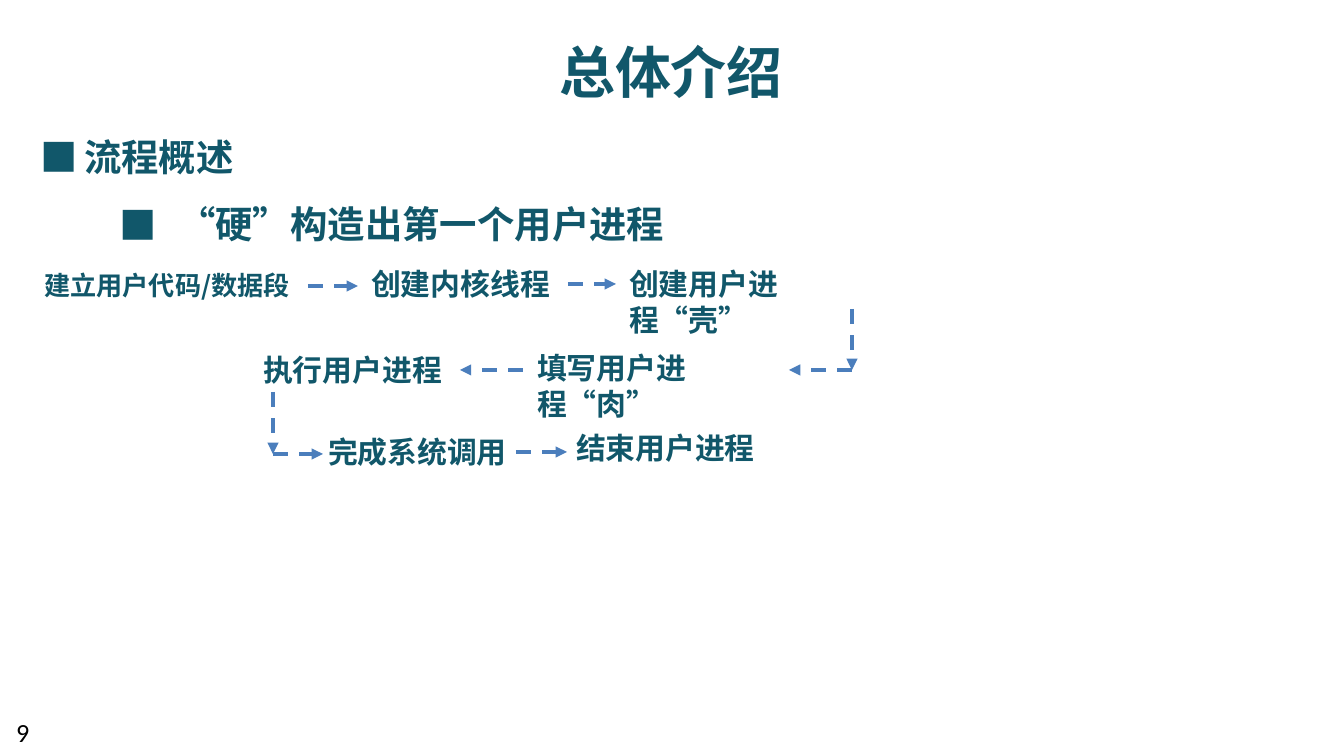
"""Build the overview slide with the flow of the first user process."""
from dataclasses import dataclass

from lxml.etree import SubElement
from pptx import Presentation
from pptx.dml.color import RGBColor
from pptx.enum.dml import MSO_LINE
from pptx.enum.shapes import MSO_CONNECTOR
from pptx.enum.text import PP_ALIGN
from pptx.oxml.ns import qn
from pptx.util import Pt

EMU_PER_PX = 914400 / 134.4
RIGHT, LEFT = 3, 1


@dataclass(frozen=True)
class Theme:
    teal: RGBColor = RGBColor(0x11, 0x57, 0x6A)
    blue: RGBColor = RGBColor(0x4B, 0x7E, 0xBC)
    black: RGBColor = RGBColor(0, 0, 0)
    heading_font: str = "Noto Sans CJK SC"
    marker_font: str = "Noto Sans CJK JP"
    number_font: str = "Calibri"
    title: int = 30
    topic: int = 20
    step: int = 16
    small: int = 14
    arrow: int = 2


THEME = Theme()

TITLE = ("总体介绍", (477, 31, 388, 82))
TOPICS = [
    ("流程概述", (71, 128, 198, 63)),
    ("“硬”构造出第一个用户进程", (165, 195, 539, 59)),
]
MARKERS = [(27, 128), (106, 196)]
MARKER_SIZE = (63, 59)
PAGE_NUMBER = ("9", (3, 710, 65, 40))

FIRST_STEP = ("建立用户代码/数据段", (31, 263, 277, 46))
STEP_HEIGHT = 50
STEPS = [
    ("创建内核线程", 358, 259, 210),
    ("创建用户进程“壳”", 616, 259, 278),
    ("填写用户进程“肉”", 524, 343, 274),
    ("执行用户进程", 250, 345, 210),
    ("完成系统调用", 315, 427, 210),
    ("结束用户进程", 563, 423, 210),
]

ARROWS = [
    ((308, 286), (358, 286), "建立用户代码/数据段", None),
    ((568, 284), (616, 284), "创建内核线程", "创建用户进程“壳”"),
    ((852, 309), (852, 370), None, None),
    ((852, 370), (789, 370), None, None),
    ((523, 370), (460, 370), None, "执行用户进程"),
    ((273, 392), (273, 454), None, None),
    ((273, 454), (323, 454), None, None),
    ((516, 452), (567, 452), None, None),
]


def px(*lengths):
    return [round(length * EMU_PER_PX) for length in lengths]


def add_text(slide, text, box, size, font=THEME.heading_font,
             color=THEME.teal, bold=True, align=PP_ALIGN.LEFT):
    label = slide.shapes.add_textbox(*px(*box))
    label.text_frame.word_wrap = True
    paragraph = label.text_frame.paragraphs[0]
    paragraph.text = text
    paragraph.alignment = align
    paragraph.font.size = Pt(size)
    paragraph.font.bold = bold
    paragraph.font.color.rgb = color
    paragraph.font.name = font
    defaults = paragraph._p.pPr.find(qn("a:defRPr"))
    SubElement(defaults, qn("a:ea"), typeface=font)
    return label


def add_arrow(slide, start, end, source, target):
    arrow = slide.shapes.add_connector(MSO_CONNECTOR.STRAIGHT, *px(*start, *end))
    if source:
        arrow.begin_connect(source, RIGHT)
    if target:
        arrow.end_connect(target, RIGHT if end[0] < start[0] else LEFT)
    arrow.line.color.rgb = THEME.blue
    arrow.line.width = Pt(THEME.arrow)
    arrow.line.dash_style = MSO_LINE.DASH
    SubElement(arrow.line._get_or_add_ln(), qn("a:tailEnd"), type="triangle")
    SubElement(arrow._element.spPr, qn("a:effectLst"))


def main():
    deck = Presentation()
    deck.slide_width, deck.slide_height = px(1344, 756)
    slide = deck.slides.add_slide(deck.slide_layouts[6])

    add_text(slide, *TITLE, THEME.title, align=PP_ALIGN.CENTER)
    for topic, box in TOPICS:
        add_text(slide, topic, box, THEME.topic)
    for corner in MARKERS:
        add_text(slide, "■", corner + MARKER_SIZE, THEME.topic, THEME.marker_font)
    add_text(slide, *PAGE_NUMBER, THEME.small, THEME.number_font, THEME.black, False)

    steps = {FIRST_STEP[0]: add_text(slide, *FIRST_STEP, THEME.small)}
    for step, left, top, width in STEPS:
        steps[step] = add_text(slide, step, (left, top, width, STEP_HEIGHT), THEME.step)
    for start, end, source, target in ARROWS:
        add_arrow(slide, start, end, steps.get(source), steps.get(target))

    deck.save("out.pptx")


if __name__ == "__main__":
    main()
